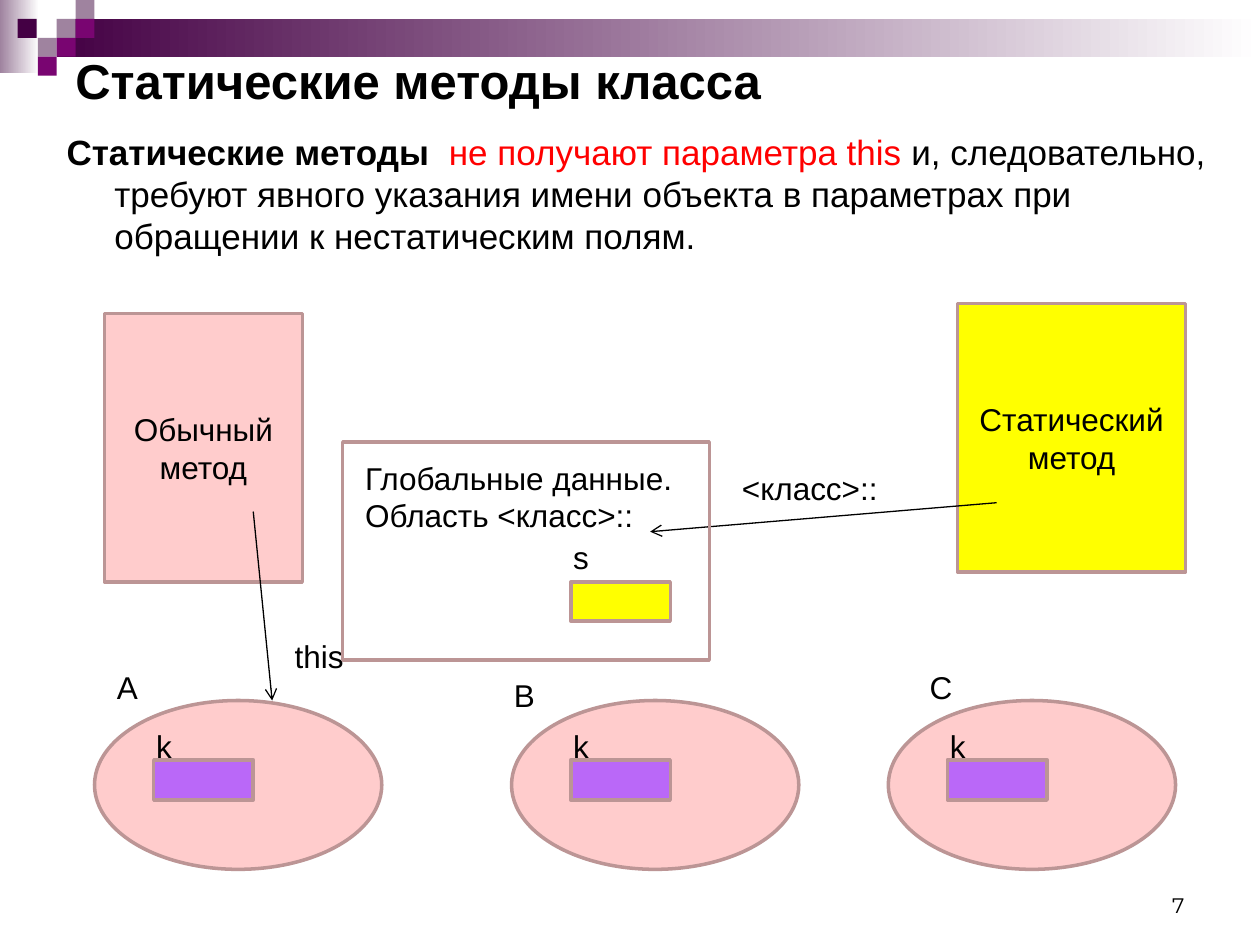
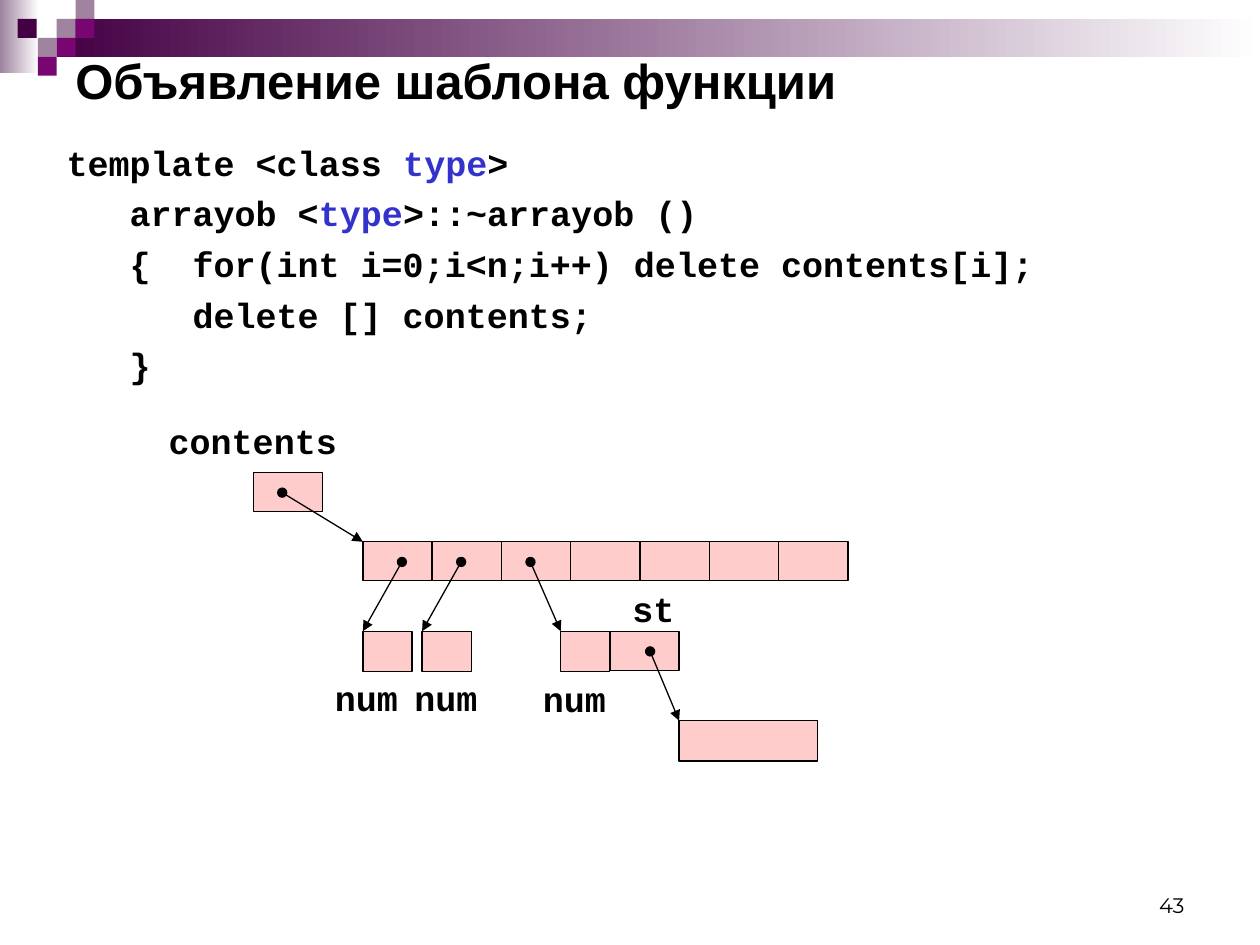
from dataclasses import dataclass

import pptx
import pptx.util
from lxml import etree
from pptx.dml.color import RGBColor
from pptx.enum.shapes import MSO_CONNECTOR, MSO_SHAPE
from pptx.enum.text import MSO_ANCHOR, PP_ALIGN
from pptx.oxml.ns import qn

PX = 9144  # 100 px to the inch
BLACK, RED, BLUE = "000000", "FF0000", "3333CC"
PINK, YELLOW, VIOLET, ROSE = "FFCCCC", "FFFF00", "BA68F8", "BC9595"
DARK, PURPLE, MAUVE, WHITE = "440044", "790571", "9F839F", "FFFFFF"
SANS, MONO, NUMBER_FONT = "Arial", "Courier New", "Montserrat"


@dataclass(frozen=True)
class Box:
    x: int
    y: int
    w: int
    h: int


@dataclass(frozen=True)
class Style:
    font: str = SANS
    size: int = 18
    bold: bool = False
    align: PP_ALIGN = PP_ALIGN.LEFT
    anchor: MSO_ANCHOR = MSO_ANCHOR.TOP
    before: int = 0


@dataclass(frozen=True)
class Run:
    text: str
    color: str = BLACK
    bold: bool | None = None


@dataclass(frozen=True)
class Para:
    runs: tuple[Run, ...]
    left: int = 0  # px
    hang: int = 0  # px


@dataclass(frozen=True)
class Arrow:
    x1: int
    y1: int
    x2: int
    y2: int
    head: str = ""
    tail: str = "triangle"


LABEL = Style()
CENTERED = Style(align=PP_ALIGN.CENTER, anchor=MSO_ANCHOR.MIDDLE)
TITLE = Style(size=28, bold=True, anchor=MSO_ANCHOR.MIDDLE)
BODY = Style(size=20, before=5)
CODE = Style(MONO, 20, True, before=5)
PAGE_NUMBER = Style(NUMBER_FONT, 12, align=PP_ALIGN.RIGHT, anchor=MSO_ANCHOR.BOTTOM)


def rgb(color: str) -> RGBColor:
    return RGBColor.from_string(color)


def px(value: int) -> int:
    return pptx.util.Emu(value * PX)


def place(box: Box) -> tuple[int, ...]:
    return tuple(px(v) for v in (box.x, box.y, box.w, box.h))


def plain(*lines: str) -> list[Para]:
    return [Para((Run(line),)) for line in lines]


def write(shape, paras: list[Para], style: Style) -> None:
    tf = shape.text_frame
    tf.word_wrap = True
    tf.vertical_anchor = style.anchor
    for i, para in enumerate(paras):
        p = tf.paragraphs[0] if i == 0 else tf.add_paragraph()
        p.alignment = style.align
        p.space_before = pptx.util.Pt(style.before)
        p.font.name, p.font.bold = style.font, style.bold
        p.font.size = pptx.util.Pt(style.size)
        if para.left:
            p._p.get_or_add_pPr().set("marL", str(px(para.left)))
            p._p.get_or_add_pPr().set("indent", str(px(-para.hang)))
        for run in para.runs:
            r = p.add_run()
            r.text = run.text
            r.font.name = style.font
            r.font.size = pptx.util.Pt(style.size)
            r.font.bold = style.bold if run.bold is None else run.bold
            r.font.color.rgb = rgb(run.color)


def add_text(s, box: Box, paras: list[Para], style: Style = LABEL) -> None:
    write(s.shapes.add_textbox(*place(box)), paras, style)


def add_box(s, box: Box, fill: str = "", line: str = "", width: float = 2,
            kind: MSO_SHAPE = MSO_SHAPE.RECTANGLE):
    sp = s.shapes.add_shape(kind, *place(box))
    sp.shadow.inherit = False
    if fill:
        sp.fill.solid()
        sp.fill.fore_color.rgb = rgb(fill)
    else:
        sp.fill.background()
    if line:
        sp.line.color.rgb = rgb(line)
        sp.line.width = pptx.util.Pt(width)
    else:
        sp.line.fill.background()
    return sp


def add_fade(s, box: Box, start: str) -> None:
    sp = add_box(s, box, start)
    sp.fill.gradient()
    sp.fill.gradient_angle = 0
    for stop, color, position in zip(sp.fill.gradient_stops, (start, WHITE), (0, 1)):
        stop.color.rgb = rgb(color)
        stop.position = position


def add_arrow(s, arrow: Arrow) -> None:
    ends = (px(v) for v in (arrow.x1, arrow.y1, arrow.x2, arrow.y2))
    line = s.shapes.add_connector(MSO_CONNECTOR.STRAIGHT, *ends)
    line.line.color.rgb = rgb(BLACK)
    line.line.width = pptx.util.Pt(0.75)
    ln = line.line._get_or_add_ln()
    for tag, kind in (("a:headEnd", arrow.head), ("a:tailEnd", arrow.tail)):
        if kind:
            etree.SubElement(ln, qn(tag)).set("type", kind)
    etree.SubElement(line._element.spPr, qn("a:effectLst"))


def new_slide(prs, title: str, number: int):
    """Blank slide with the shared band, squares, title and page number."""
    s = prs.slides.add_slide(prs.slide_layouts[6])
    add_fade(s, Box(0, 0, 31, 58), MAUVE)
    add_fade(s, Box(45, 15, 955, 30), DARK)
    squares = ((45, 15, MAUVE), (60, 0, MAUVE), (60, 15, PURPLE), (30, 30, MAUVE),
               (14, 15, DARK), (45, 30, PURPLE), (30, 45, PURPLE))
    for x, y, color in squares:
        add_box(s, Box(x, y, 15, 15), color)
    add_text(s, Box(717, 683, 233, 50), plain(str(number)), PAGE_NUMBER)
    add_text(s, Box(50, 36, 900, 55), plain(title), TITLE)
    return s


def static_methods_slide(prs) -> None:
    s = new_slide(prs, "Статические методы класса", 7)
    add_text(s, Box(43, 99, 957, 594), [Para((
        Run("Статические методы  ", bold=True),
        Run("не получают параметра this ", RED),
        Run("и, следовательно, требуют явного указания имени объекта "
            "в параметрах при обращении к нестатическим полям."),
    ), 38, 38)], BODY)

    # Objects with their own field k
    for name, x, label_x, label_y in (("A", 75, 83, 525), ("B", 406, 398, 532),
                                      ("C", 705, 728, 525)):
        add_box(s, Box(x, 556, 228, 134), PINK, ROSE, kind=MSO_SHAPE.OVAL)
        add_text(s, Box(label_x, label_y, 95, 40), plain(name))
        add_box(s, Box(x + 47, 603, 79, 32), VIOLET, ROSE)
        add_text(s, Box(x + 39, 572, 95, 40), plain("k"))

    # Static field s
    add_box(s, Box(453, 462, 79, 31), YELLOW, ROSE)
    add_text(s, Box(445, 422, 94, 40), plain("s"))

    # Methods and what they reach
    ordinary = add_box(s, Box(83, 249, 157, 213), PINK, ROSE)
    write(ordinary, plain("Обычный метод"), CENTERED)
    add_arrow(s, Arrow(201, 406, 216, 556, tail="arrow"))
    add_text(s, Box(224, 501, 118, 40), plain("this"))
    static = add_box(s, Box(760, 241, 181, 213), YELLOW, ROSE)
    write(static, plain("Статический метод"), CENTERED)
    add_arrow(s, Arrow(791, 399, 516, 422, tail="arrow"))
    add_text(s, Box(579, 367, 157, 40), plain("<класс>::"))

    # Global data
    add_box(s, Box(272, 351, 291, 173), line=ROSE)
    add_text(s, Box(280, 359, 276, 70), plain("Глобальные данные.", "Область <класс>::"))


def template_slide(prs) -> None:
    s = new_slide(prs, "Объявление шаблона функции", 43)
    type_name = Run("type", BLUE)
    add_text(s, Box(43, 107, 900, 213), [
        Para((Run("template <class "), type_name, Run(">"))),
        Para((Run("arrayob <"), type_name, Run(">::~arrayob ()")), 50),
        Para((Run("{\tfor(int i=0;i<n;i++) delete contents[i];"),), 100, 50),
        Para((Run("delete [] contents;"),), 100),
        Para((Run("}"),), 50),
    ], CODE)

    # Pointer, array of seven pointers, elements and string buffer
    cells = [Box(201, 375, 55, 31)]
    cells += [Box(288 + 55 * i, 430, 55, 31) for i in range(7)]
    cells += [Box(x, 501, 39, 32) for x in (288, 335, 445)]
    cells += [Box(484, 501, 55, 31), Box(539, 572, 110, 32)]
    for cell in cells:
        add_box(s, cell, PINK, BLACK, 0.75)

    for ends in ((224, 391, 288, 430), (319, 446, 288, 501), (366, 446, 335, 501),
                 (421, 446, 445, 501), (516, 517, 539, 572)):
        add_arrow(s, Arrow(*ends, head="oval"))

    # Captions
    for text, x, y, w in (("contents", 124, 328, 228), ("num", 256, 532, 118),
                          ("num", 319, 532, 102), ("num", 421, 533, 118),
                          ("st", 492, 461, 118)):
        add_text(s, Box(x, y, w, 44), plain(text), CODE)


def main() -> None:
    prs = pptx.Presentation()
    prs.slide_width, prs.slide_height = px(1000), px(750)
    static_methods_slide(prs)
    template_slide(prs)
    prs.save("out.pptx")


if __name__ == "__main__":
    main()
